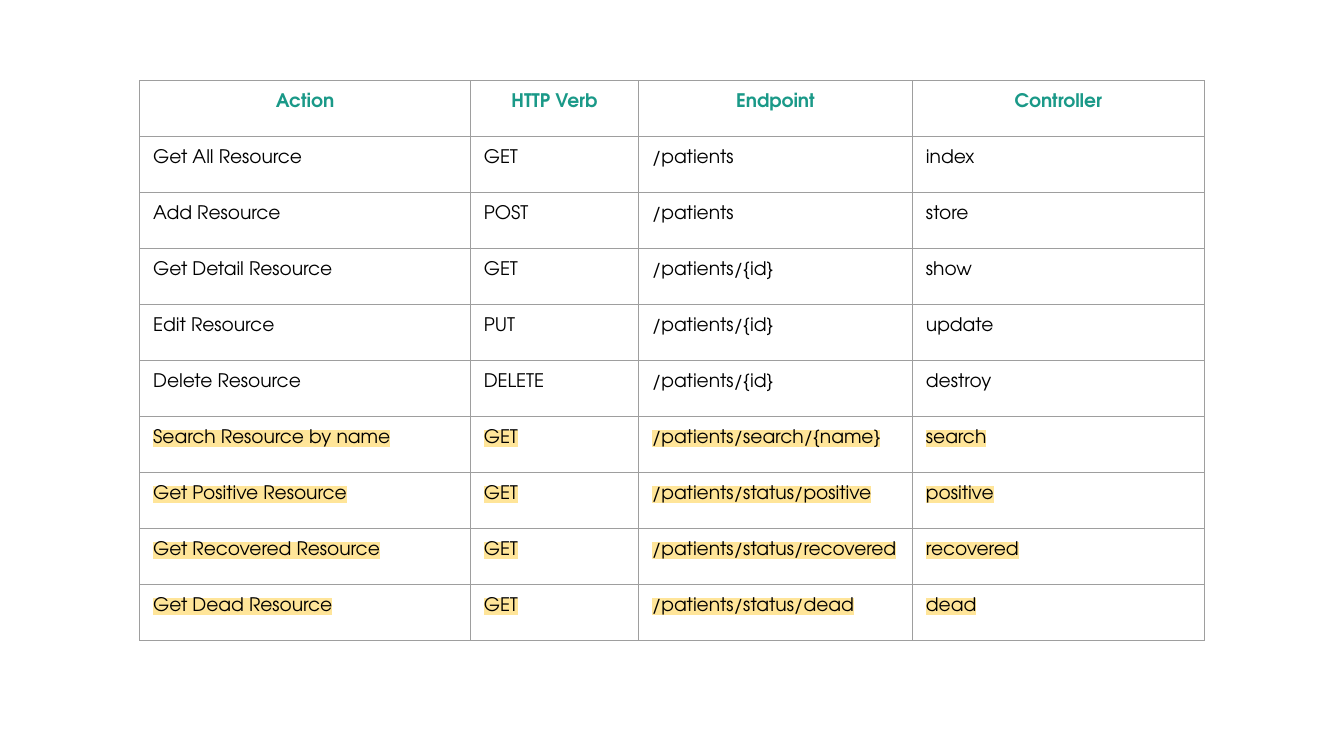
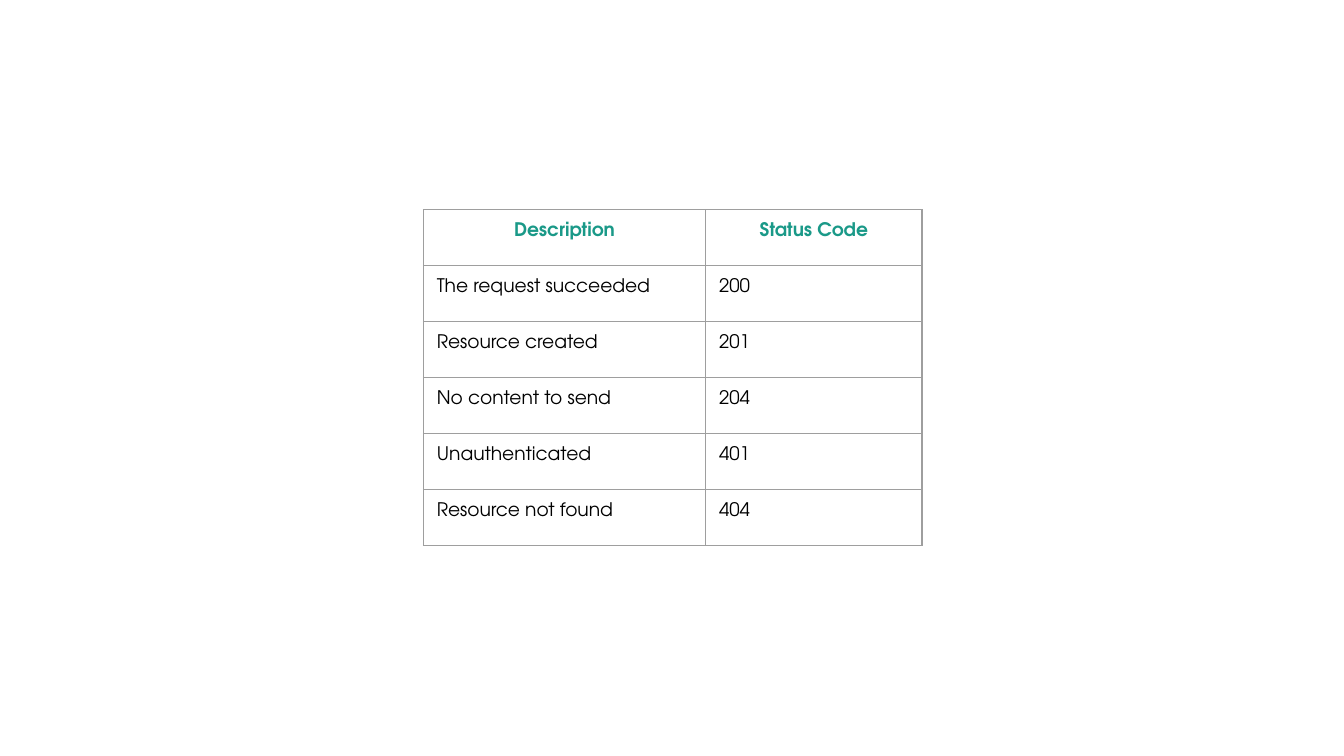
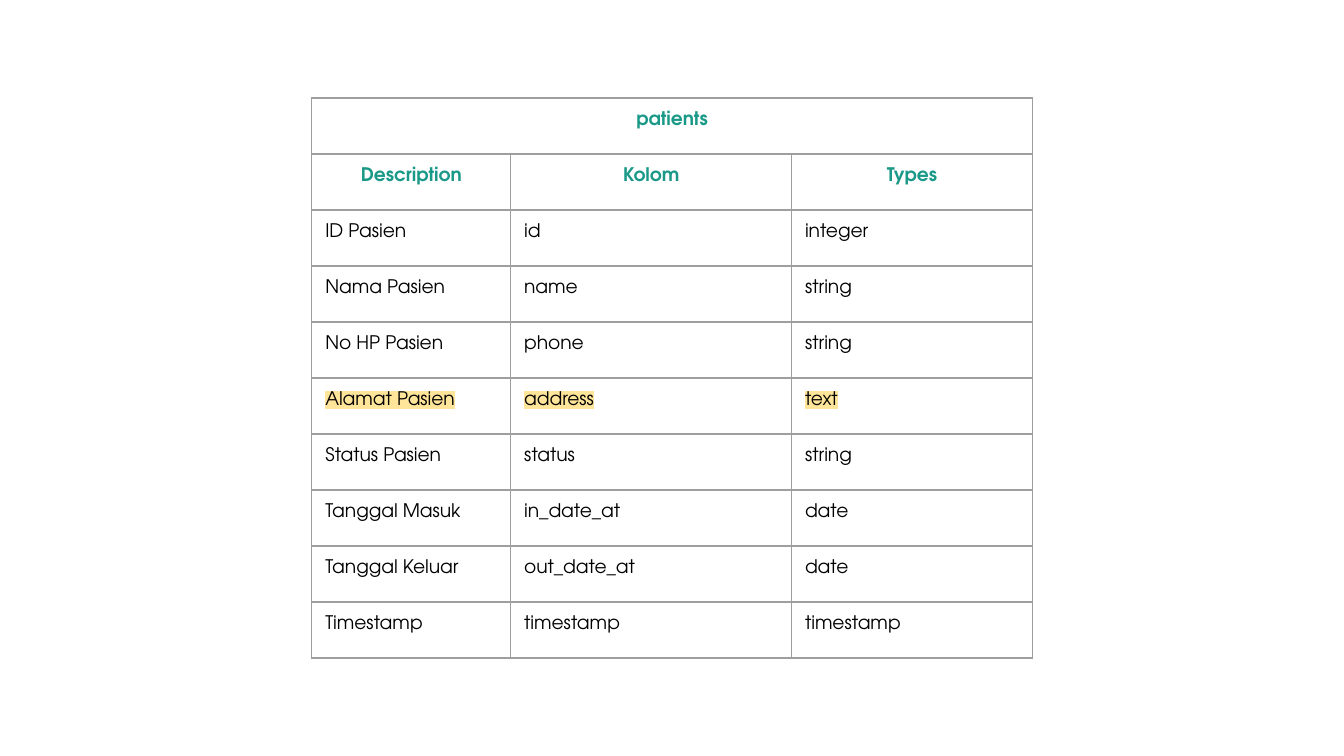
from lxml.etree import SubElement
from pptx import Presentation
from pptx.dml.color import RGBColor
from pptx.enum.text import PP_ALIGN
from pptx.oxml.ns import qn
from pptx.util import Inches, Pt

TEAL = RGBColor(0x1A, 0x99, 0x88)
BLACK = RGBColor(0x00, 0x00, 0x00)
GREY = RGBColor(0x9E, 0x9E, 0x9E)
YELLOW = RGBColor(0xFF, 0xE5, 0x99)

FONT = "TeX Gyre Adventor"
SLIDE_WIDTH = Inches(10)
SLIDE_HEIGHT = SLIDE_WIDTH * 9 // 16
ROW_HEIGHT = Inches(5 / 12)
CELL_MARGIN = Inches(0.1)
BORDER_WIDTH = Pt(0.75)

ENDPOINTS = [
    ("Action", "HTTP Verb", "Endpoint", "Controller"),
    ("Get All Resource", "GET", "/patients", "index"),
    ("Add Resource", "POST", "/patients", "store"),
    ("Get Detail Resource", "GET", "/patients/{id}", "show"),
    ("Edit Resource", "PUT", "/patients/{id}", "update"),
    ("Delete Resource", "DELETE", "/patients/{id}", "destroy"),
    ("Search Resource by name", "GET", "/patients/search/{name}", "search"),
    ("Get Positive Resource", "GET", "/patients/status/positive", "positive"),
    ("Get Recovered Resource", "GET", "/patients/status/recovered", "recovered"),
    ("Get Dead Resource", "GET", "/patients/status/dead", "dead"),
]

STATUS_CODES = [
    ("Description", "Status Code"),
    ("The request succeeded", "200"),
    ("Resource created", "201"),
    ("No content to send", "204"),
    ("Unauthenticated", "401"),
    ("Resource not found", "404"),
]

PATIENT_COLUMNS = [
    ("patients",),
    ("Description", "Kolom", "Types"),
    ("ID Pasien", "id", "integer"),
    ("Nama Pasien", "name", "string"),
    ("No HP Pasien", "phone", "string"),
    ("Alamat Pasien", "address", "text"),
    ("Status Pasien", "status", "string"),
    ("Tanggal Masuk", "in_date_at", "date"),
    ("Tanggal Keluar", "out_date_at", "date"),
    ("Timestamp", "timestamp", "timestamp"),
]


def add_solid_colour(parent, tag, colour):
    SubElement(SubElement(parent, qn(tag)), qn("a:srgbClr"), val=str(colour))


def draw_borders(cell):
    properties = cell._tc.get_or_add_tcPr()
    for side in ("a:lnL", "a:lnR", "a:lnT", "a:lnB"):
        border = SubElement(properties, qn(side), w=str(BORDER_WIDTH))
        add_solid_colour(border, "a:solidFill", GREY)


def style_cell(cell):
    draw_borders(cell)
    cell.fill.background()
    cell.margin_left = cell.margin_right = CELL_MARGIN
    cell.margin_top = cell.margin_bottom = CELL_MARGIN


def write_cell(cell, text, is_header, is_highlighted):
    paragraph = cell.text_frame.paragraphs[0]
    paragraph.alignment = PP_ALIGN.CENTER if is_header else PP_ALIGN.LEFT
    font = paragraph.font
    font.name = FONT
    font.size = Pt(10)
    font.bold = is_header
    font.color.rgb = TEAL if is_header else BLACK
    run = paragraph.add_run()
    run.text = text
    if is_highlighted:
        add_solid_colour(run._r.get_or_add_rPr(), "a:highlight", YELLOW)


def add_grid(slide, left, top, widths, rows, header_rows=1, highlighted=()):
    """Add a bordered table; a row with a single text spans all columns."""
    table = slide.shapes.add_table(
        len(rows), len(widths), Inches(left), Inches(top),
        Inches(sum(widths)), ROW_HEIGHT * len(rows)).table
    table.first_row = table.horz_banding = False
    for column, width in zip(table.columns, widths):
        column.width = Inches(width)
    for row_index, texts in enumerate(rows):
        table.rows[row_index].height = ROW_HEIGHT
        for cell in table.rows[row_index].cells:
            style_cell(cell)
        if len(texts) == 1:
            table.cell(row_index, 0).merge(table.cell(row_index, len(widths) - 1))
        for column_index, text in enumerate(texts):
            write_cell(table.cell(row_index, column_index), text,
                       row_index < header_rows, row_index in highlighted)


def main():
    presentation = Presentation()
    presentation.slide_width = SLIDE_WIDTH
    presentation.slide_height = SLIDE_HEIGHT
    blank = presentation.slide_layouts[6]
    endpoints, status_codes, patients = (
        presentation.slides.add_slide(blank) for _ in range(3))

    add_grid(endpoints, 1.04, 0.6, (2.46, 1.25, 2.04, 2.17), ENDPOINTS,
             highlighted=range(6, 10))
    add_grid(status_codes, 3.15, 1.56, (2.1, 1.61), STATUS_CODES)
    add_grid(patients, 2.32, 0.73, (1.48, 2.09, 1.79), PATIENT_COLUMNS,
             header_rows=2, highlighted=(5,))

    presentation.save("out.pptx")


if __name__ == "__main__":
    main()
